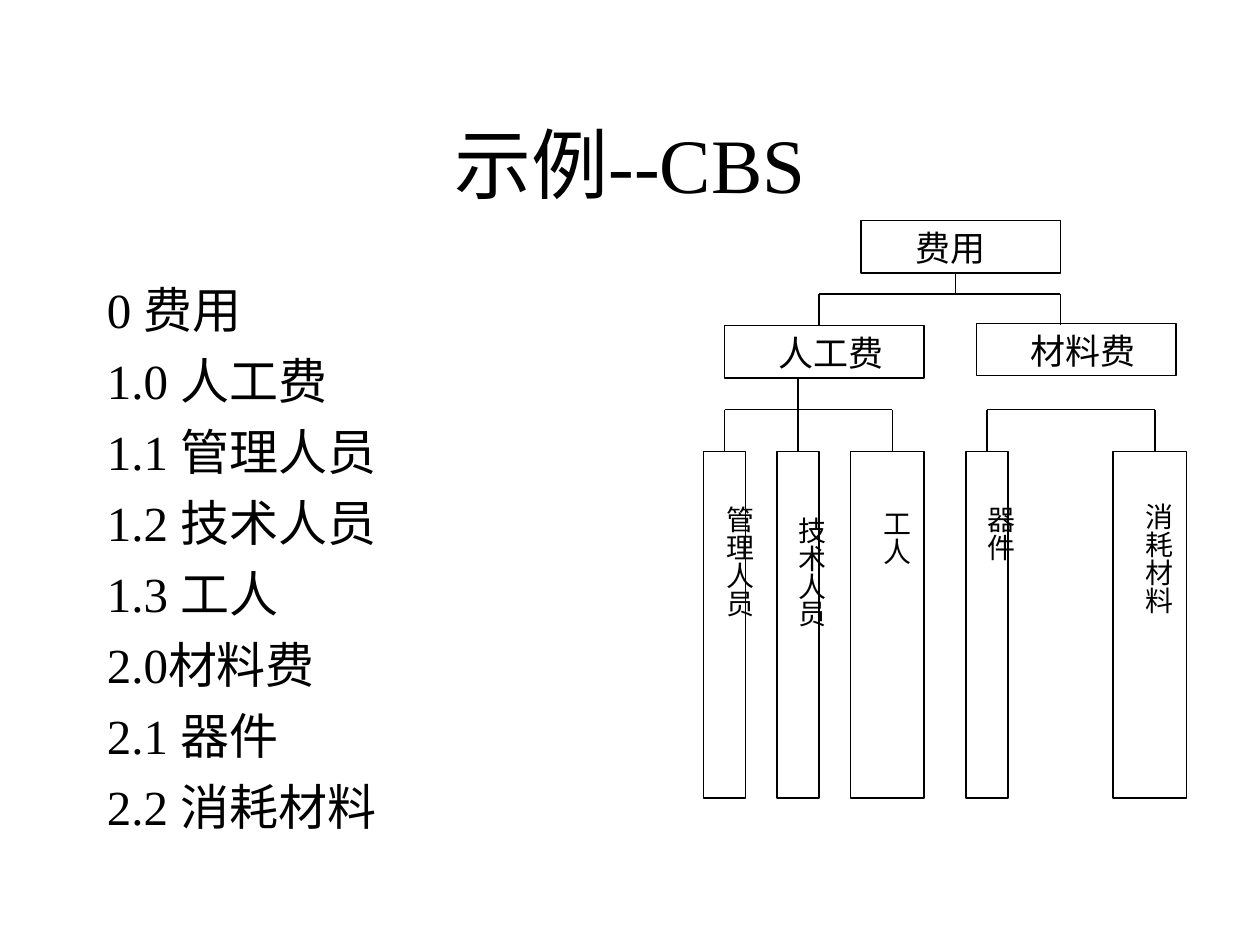
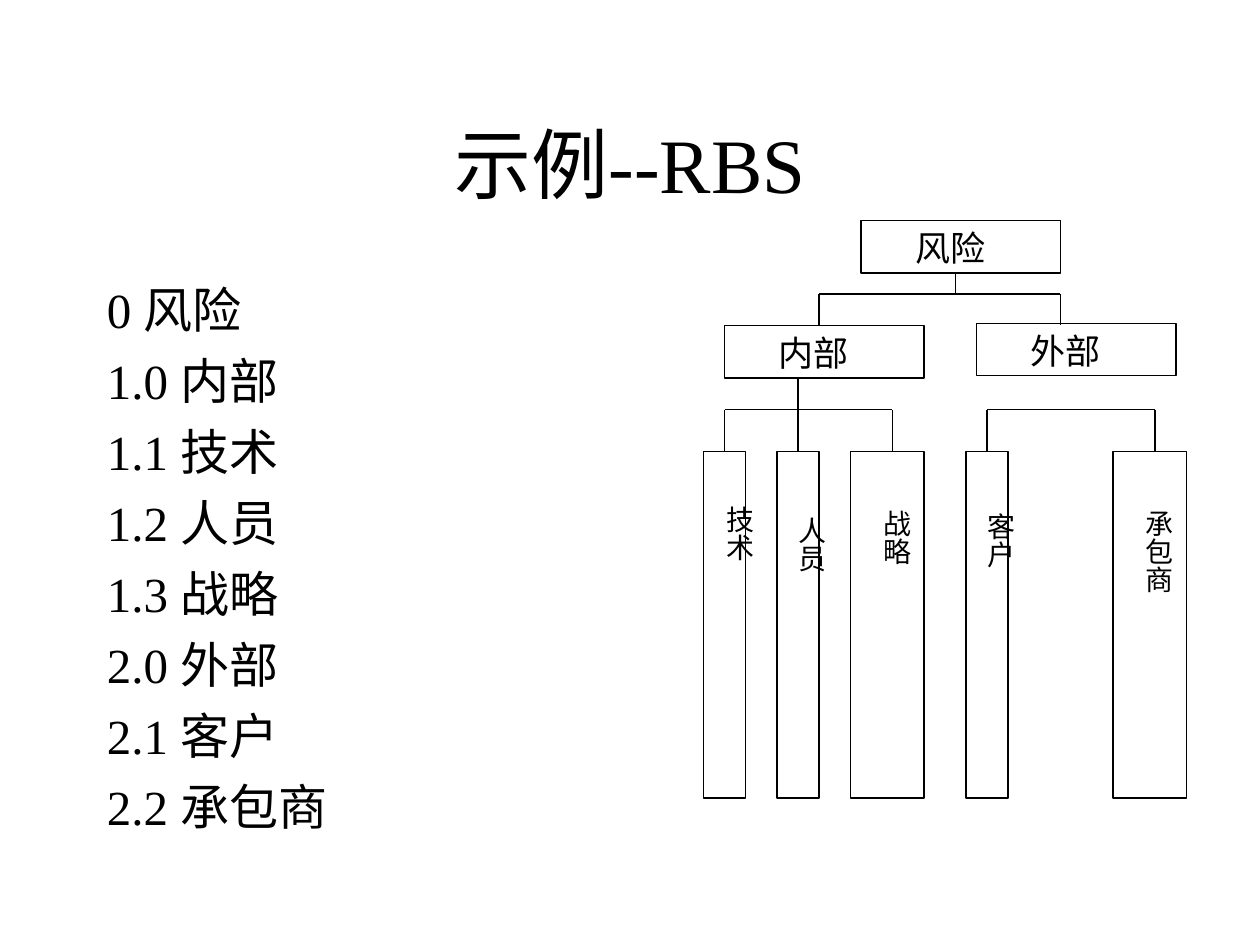
from dataclasses import dataclass
from lxml import etree
from pptx import Presentation
from pptx.dml.color import RGBColor
from pptx.enum.shapes import MSO_CONNECTOR, MSO_SHAPE
from pptx.enum.text import MSO_ANCHOR, MSO_AUTO_SIZE, PP_ALIGN
from pptx.oxml.ns import qn
from pptx.util import Inches, Pt


@dataclass(frozen=True)
class Theme:
    font: str = "Times New Roman"
    ink: RGBColor = RGBColor(0, 0, 0)
    title: int = 44
    outline: int = 28
    node: int = 20
    leaf: int = 16
    leading: float = 1.2
    outline_gap: int = 7
    thin: float = 0.75
    thick: float = 1


COLS, ROWS = 120, 90  # grid of the whole slide
SPACE = 0.67          # rows taken by one lead-in step of a leaf label

# Diagram geometry in grid units
NODES = [  # box, then left and width of its label
    ((82, 21, 19, 5), 86, 10),
    ((69, 31, 19, 5), 73, 14),
    ((93, 30.8, 19, 5), 97, 16),
]
LEAF_TOP, LEAF_HEIGHT, LABEL_WIDTH, LABEL_HEIGHT = 43, 33, 5.5, 35
LEAVES = [  # box left and width, then label left and top
    (67, 4, 67.1, 47),
    (74, 4, 74, 48),
    (81, 7, 82.1, 44),
    (92, 4, 92, 47),
    (106, 7, 107, 44),
]

SLIDES = [
    dict(title="示例--CBS",
         outline=["0 费用", "1.0 人工费", "1.1 管理人员", "1.2 技术人员",
                  "1.3 工人", "2.0材料费", "2.1 器件", "2.2 消耗材料"],
         lead=(0, 0, 5, 0, 4)),
    dict(title="示例--RBS",
         outline=["0 风险", "1.0 内部", "1.1 技术", "1.2 人员",
                  "1.3 战略", "2.0 外部", "2.1 客户", "2.2 承包商"],
         lead=(0, 0, 5, 1, 5)),
]


class Deck:
    def __init__(self, theme):
        self.theme = theme
        self.prs = Presentation()
        self.prs.slide_width, self.prs.slide_height = Inches(10), Inches(7.5)
        self.s = None

    def x(self, cols):
        return round(self.prs.slide_width * cols / COLS)

    def y(self, rows):
        return round(self.prs.slide_height * rows / ROWS)

    def place(self, left, top, width, height):
        return self.x(left), self.y(top), self.x(width), self.y(height)

    def fill_text(self, tf, lines, size, align=PP_ALIGN.LEFT, gap=0, **frame):
        """Fill a text frame, one paragraph per line."""
        frame = dict(word_wrap=True, auto_size=MSO_AUTO_SIZE.NONE) | frame
        for name, value in frame.items():
            setattr(tf, name, value)
        for i, line in enumerate(lines):
            p = tf.paragraphs[0] if i == 0 else tf.add_paragraph()
            style = dict(alignment=align, space_before=Pt(gap if i else 0),
                         line_spacing=Pt(size * self.theme.leading))
            for name, value in style.items():
                setattr(p, name, value)
            r = p.add_run()
            r.text = line
            for name, value in dict(name=self.theme.font, size=Pt(size)).items():
                setattr(r.font, name, value)
            r.font.color.rgb = self.theme.ink

    def slide(self, title):
        self.s = self.prs.slides.add_slide(self.prs.slide_layouts[5])
        sp = self.s.shapes.title
        sp.left, sp.top, sp.width, sp.height = self.place(9, 8, 102, 15)
        self.fill_text(sp.text_frame, [title], self.theme.title, PP_ALIGN.CENTER,
                       vertical_anchor=MSO_ANCHOR.MIDDLE)

    def text(self, area, lines, size, **style):
        sp = self.s.shapes.add_textbox(*self.place(*area))
        self.fill_text(sp.text_frame, lines, size, **style)
        return sp

    def vertical_text(self, area, line, lead):
        sp = self.text(area, [line], self.theme.leaf, align=PP_ALIGN.CENTER,
                       margin_left=Inches(0.05), margin_right=Inches(0.05),
                       margin_top=Inches(0.1) + self.y(lead * SPACE),
                       margin_bottom=Inches(0.1))
        sp.text_frame._txBody.bodyPr.set("vert", "eaVert")

    def box(self, *area):
        sp = self.s.shapes.add_shape(MSO_SHAPE.RECTANGLE, *self.place(*area))
        sp.shadow.inherit = False
        sp.fill.background()
        sp.line.color.rgb = self.theme.ink
        sp.line.width = Pt(self.theme.thin)

    def line(self, x1, y1, x2, y2, weight):
        c = self.s.shapes.add_connector(MSO_CONNECTOR.STRAIGHT, self.x(x1),
                                        self.y(y1), self.x(x2), self.y(y2))
        c.line.color.rgb = self.theme.ink
        c.line.width = Pt(weight)
        etree.SubElement(c._element.spPr, qn("a:effectLst"))

    def bracket(self, left, right, bar, bottom, weight):
        """A bar with a drop at each end."""
        self.line(left, bar, right, bar, weight)
        for end in (left, right):
            self.line(end, bar, end, bottom, weight)

    def tree(self, nodes, leaves, leads):
        t = self.theme
        # Root and branches
        for name, (area, left, width) in zip(nodes, NODES):
            self.box(*area)
            self.text((left, area[1], width, 5.3), [name], t.node)
        # Leaves
        for name, lead, (left, width, label_left, label_top) in zip(leaves, leads, LEAVES):
            self.box(left, LEAF_TOP, width, LEAF_HEIGHT)
            self.vertical_text((label_left, label_top, LABEL_WIDTH, LABEL_HEIGHT),
                               name, lead)
        # Connecting lines
        self.line(91, 26, 91, 28, t.thick)
        self.bracket(78, 101, 28, 31, t.thick)
        self.line(76, 36, 76, LEAF_TOP, t.thin)
        for left, right in ((69, 85), (94, 110)):
            self.bracket(left, right, 39, LEAF_TOP, t.thin)


def main():
    deck = Deck(Theme())
    for content in SLIDES:
        deck.slide(content["title"])
        deck.text((9, 26, 50, 54), content["outline"], deck.theme.outline,
                  gap=deck.theme.outline_gap)
        # Tree labels are the outline entries without their numbers
        root, first, *rest = [e.lstrip("0123456789. ") for e in content["outline"]]
        deck.tree([root, first, rest[3]], rest[:3] + rest[4:], content["lead"])
    deck.prs.save("out.pptx")


if __name__ == "__main__":
    main()
